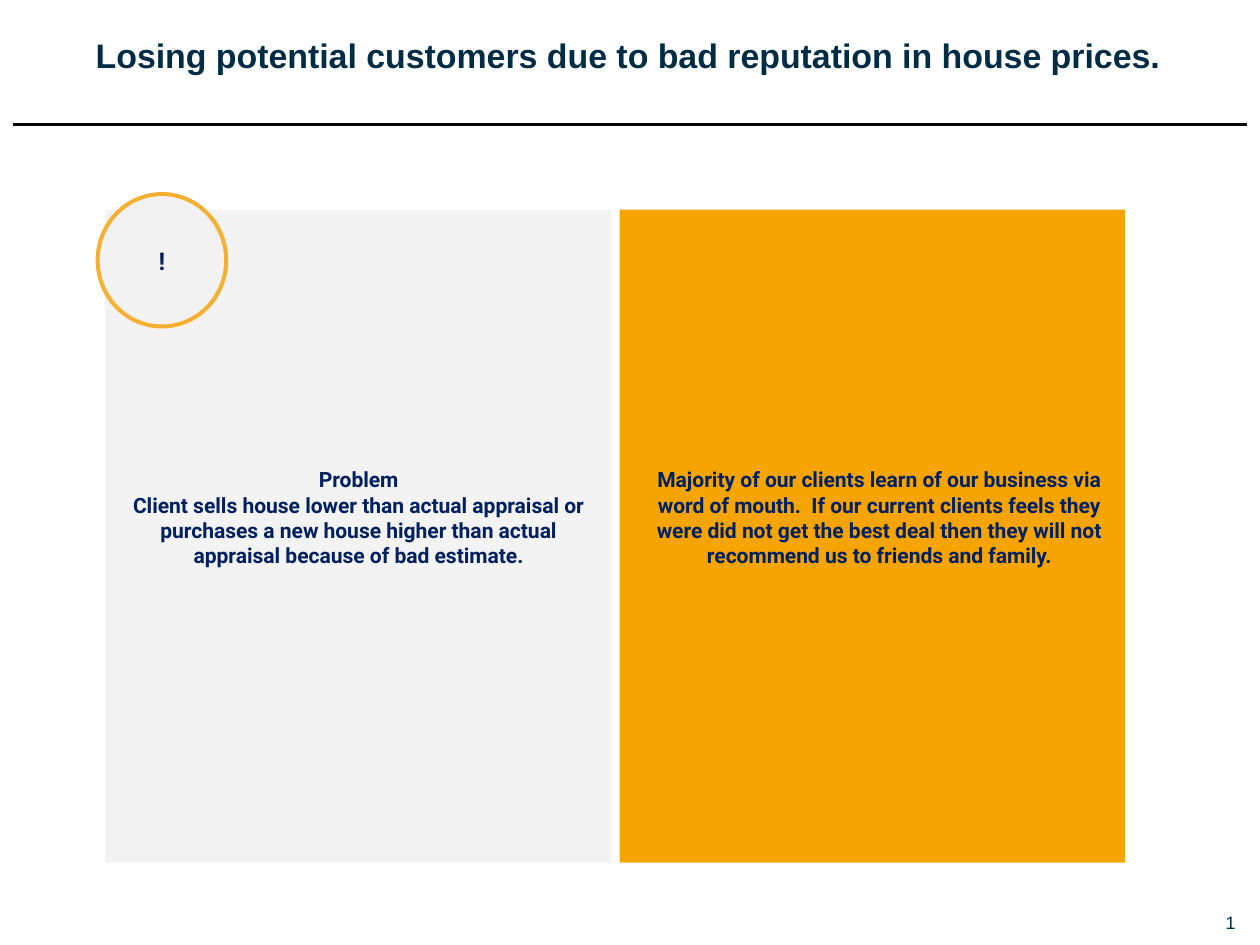
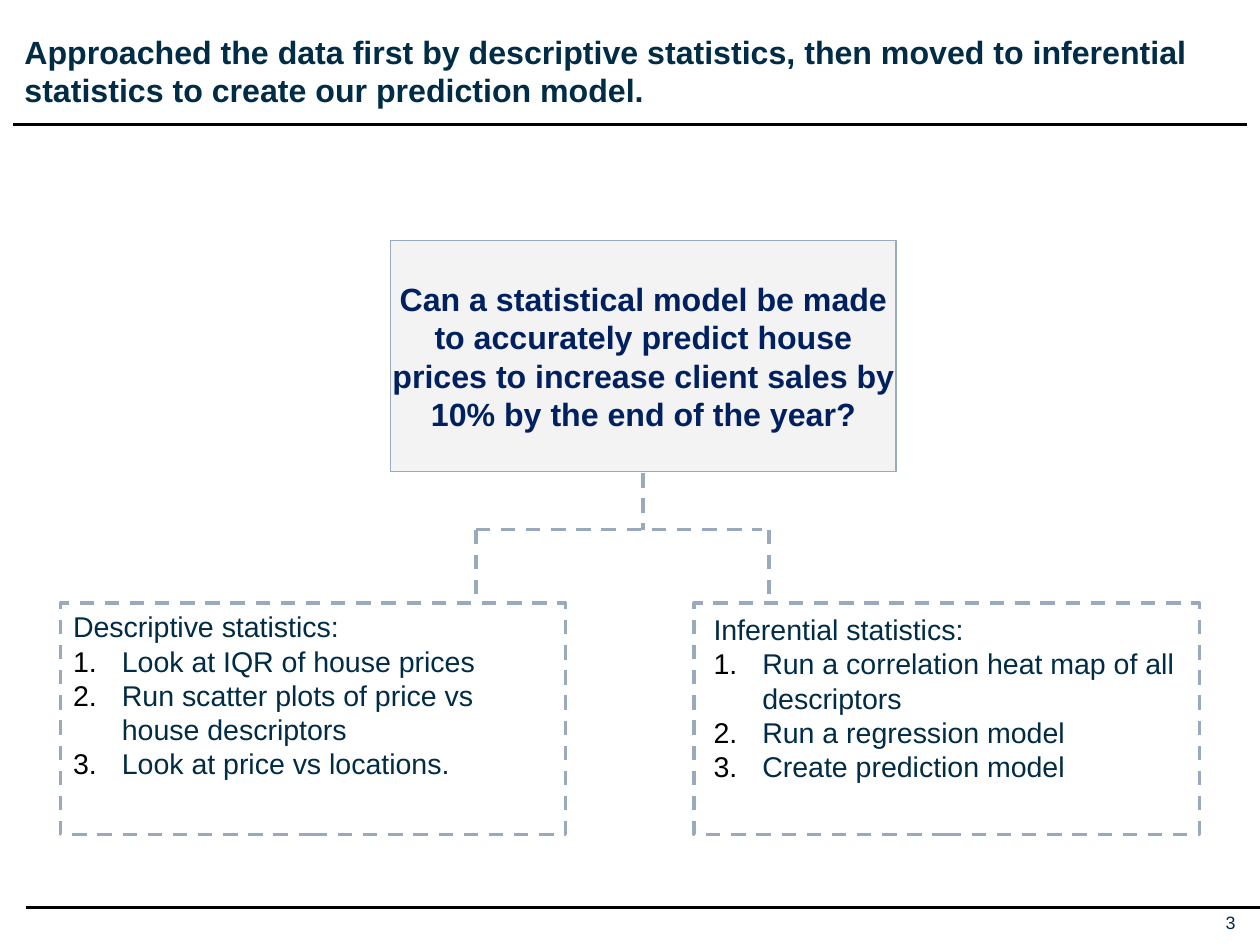
"""Build two slides on house price estimates: the problem and the approach."""
from dataclasses import dataclass

from lxml.etree import SubElement
from pptx import Presentation
from pptx.dml.color import RGBColor as Rgb
from pptx.enum.dml import MSO_LINE_DASH_STYLE as Dash
from pptx.enum.shapes import MSO_CONNECTOR as Link, MSO_SHAPE as Kind
from pptx.enum.text import MSO_ANCHOR as Anchor, MSO_AUTO_SIZE as Fit, PP_ALIGN as Align
from pptx.oxml.ns import qn
from pptx.slide import Slide
from pptx.util import Inches, Pt

HUES = {
    "ink": "002C46", "navy": "002060", "black": "000000", "gray": "F2F2F2",
    "amber": "F6A401", "ring": "F5AF31", "steel": "99AABE",
}
WIDE, TALL = 9.8, 7.35
PANEL = 3.93


@dataclass(frozen=True)
class Style:
    size: float
    font: str = "Arial"
    hue: str = "navy"
    bold: bool = True
    align: Align = Align.CENTER


@dataclass(frozen=True)
class Box:
    at: tuple[float, float, float, float]
    style: Style
    text: tuple[str, ...]
    kind: Kind = Kind.RECTANGLE
    fill: str = ""
    alpha: int = 100
    line: str = ""
    width: float = 2
    dash: bool = False
    pad: tuple[float, float, float, float] = (0, 0, 0, 0)
    anchor: Anchor = Anchor.TOP
    steps: bool = False


BODY = Style(11.8, "Roboto")
MARK = Style(13.7, "Roboto")
ASK = Style(18)
LIST = Style(16, hue="ink", bold=False, align=Align.LEFT)
PAGE = Style(10, hue="ink", bold=False, align=Align.RIGHT)

PANELS = (
    Box((0.82, 1.63, PANEL, 5.08), BODY,
        ("Problem",
         "Client sells house lower than actual appraisal or purchases a new house "
         "higher than actual appraisal because of bad estimate."),
        fill="gray", alpha=85, pad=(0.18, 2, 0.17, 0.05)),
    Box((0.76, 1.51, 1, 1.03), MARK, ("!",), Kind.OVAL, "gray", line="ring",
        width=2.25, pad=(0.1, 0.05, 0.1, 0.05), anchor=Anchor.MIDDLE),
    Box((4.82, 1.63, PANEL, 5.08), BODY,
        ("Majority of our clients learn of our business via word of mouth.  If our "
         "current clients feels they were did not get the best deal then they will "
         "not recommend us to friends and family.",),
        fill="amber", pad=(0.23, 2, 0.12, 0.05)),
)
TREE = (
    Box((3.04, 1.87, PANEL, 1.8), ASK,
        ("Can a statistical model be made to accurately predict house prices to "
         "increase client sales by 10% by the end of the year?",),
        fill="gray", alpha=85, line="steel", width=0.75, anchor=Anchor.MIDDLE),
    Box((0.47, 4.69, PANEL, 1.8), LIST,
        ("Descriptive statistics:", "Look at IQR of house prices",
         "Run scatter plots of price vs house descriptors",
         "Look at price vs locations."),
        line="steel", dash=True, pad=(0.1, 0.05, 0.1, 0.05), steps=True),
    Box((5.4, 4.69, PANEL, 1.8), LIST,
        ("Inferential statistics:", "Run a correlation heat map of all descriptors",
         "Run a regression model", "Create prediction model"),
        line="steel", dash=True, pad=(0.15, 0.07, 0.1, 0.05), steps=True),
)
LINKS = (
    (3.7, 4.12, 3.7, 4.69),
    (5.98, 4.12, 5.98, 4.69),
    (3.7, 4.12, 5.93, 4.12),
    (5, 3.68, 5, 4.12),
)


def tint(name: str) -> Rgb:
    return Rgb.from_string(HUES[name])


def number(para) -> None:
    """Turn a paragraph into a numbered step."""
    props = para._p.get_or_add_pPr()
    props.set("marL", str(Inches(0.38)))
    props.set("indent", str(-Inches(0.38)))
    hue = SubElement(props, qn("a:buClr"))
    SubElement(hue, qn("a:srgbClr"), val=HUES["black"])
    SubElement(props, qn("a:buFont"), typeface="+mj-lt")
    SubElement(props, qn("a:buAutoNum"), type="arabicPeriod")


def write(frame, text: tuple[str, ...], style: Style, pad=(0, 0, 0, 0),
          anchor: Anchor = Anchor.TOP, steps: bool = False) -> None:
    """Fill a text frame, numbering all but the first paragraph for steps."""
    frame.word_wrap = True
    frame.auto_size = Fit.NONE
    frame.vertical_anchor = anchor
    (frame.margin_left, frame.margin_top,
     frame.margin_right, frame.margin_bottom) = map(Inches, pad)
    for rank, words in enumerate(text):
        para = frame.add_paragraph() if rank else frame.paragraphs[0]
        para.text = words
        para.alignment = style.align
        if steps and rank:
            number(para)
        font = para.font
        font.name, font.size, font.bold = style.font, Pt(style.size), style.bold
        font.color.rgb = tint(style.hue)


def stroke(line, hue: str, width: float, dash: bool) -> None:
    line.color.rgb = tint(hue)
    line.width = Pt(width)
    if dash:
        line.dash_style = Dash.DASH


def rule(slide: Slide, ends: tuple[float, float, float, float],
         hue: str = "black", dash: bool = False) -> None:
    link = slide.shapes.add_connector(Link.STRAIGHT, *map(Inches, ends))
    stroke(link.line, hue, 2, dash)
    SubElement(link._element.spPr, qn("a:effectLst"))


def draw(slide: Slide, box: Box) -> None:
    shape = slide.shapes.add_shape(box.kind, *map(Inches, box.at))
    shape.shadow.inherit = False
    if box.fill:
        shape.fill.solid()
        shape.fill.fore_color.rgb = tint(box.fill)
        if box.alpha < 100:
            color = shape._element.spPr.find(".//" + qn("a:srgbClr"))
            SubElement(color, qn("a:alpha"), val=str(box.alpha * 1000))
    else:
        shape.fill.background()
    if box.line:
        stroke(shape.line, box.line, box.width, box.dash)
    else:
        shape.line.fill.background()
    write(shape.text_frame, box.text, box.style, box.pad, box.anchor, box.steps)


def start(deck, title: str, at: tuple[float, float, float, float], size: float,
          align: Align, page: str) -> Slide:
    """Add a slide with its title, top rule and page number."""
    slide = deck.slides.add_slide(deck.slide_layouts[5])
    head = slide.shapes.title
    head.left, head.top, head.width, head.height = map(Inches, at)
    write(head.text_frame, (title,), Style(size, hue="ink", align=align))
    rule(slide, (0.1, 0.97, 9.7, 0.97))
    foot = slide.shapes.add_textbox(*map(Inches, (9.44, 7.09, 0.17, 0.17)))
    write(foot.text_frame, (page,), PAGE, anchor=Anchor.MIDDLE)
    return slide


def main() -> None:
    deck = Presentation()
    deck.slide_width, deck.slide_height = Inches(WIDE), Inches(TALL)

    slide = start(
        deck, "Losing potential customers due to bad reputation in house prices.",
        (0.17, 0.27, 9.43, 0.32), 19, Align.CENTER, "1")
    for box in PANELS:
        draw(slide, box)

    slide = start(
        deck, "Approached the data first by descriptive statistics, then moved to "
        "inferential statistics to create our prediction model.",
        (0.19, 0.25, 9.43, 0.61), 18, Align.LEFT, "3")
    rule(slide, (0.2, 7.06, WIDE, 7.06))
    for box in TREE:
        draw(slide, box)
    for ends in LINKS:
        rule(slide, ends, "steel", True)

    deck.save("out.pptx")


if __name__ == "__main__":
    main()
